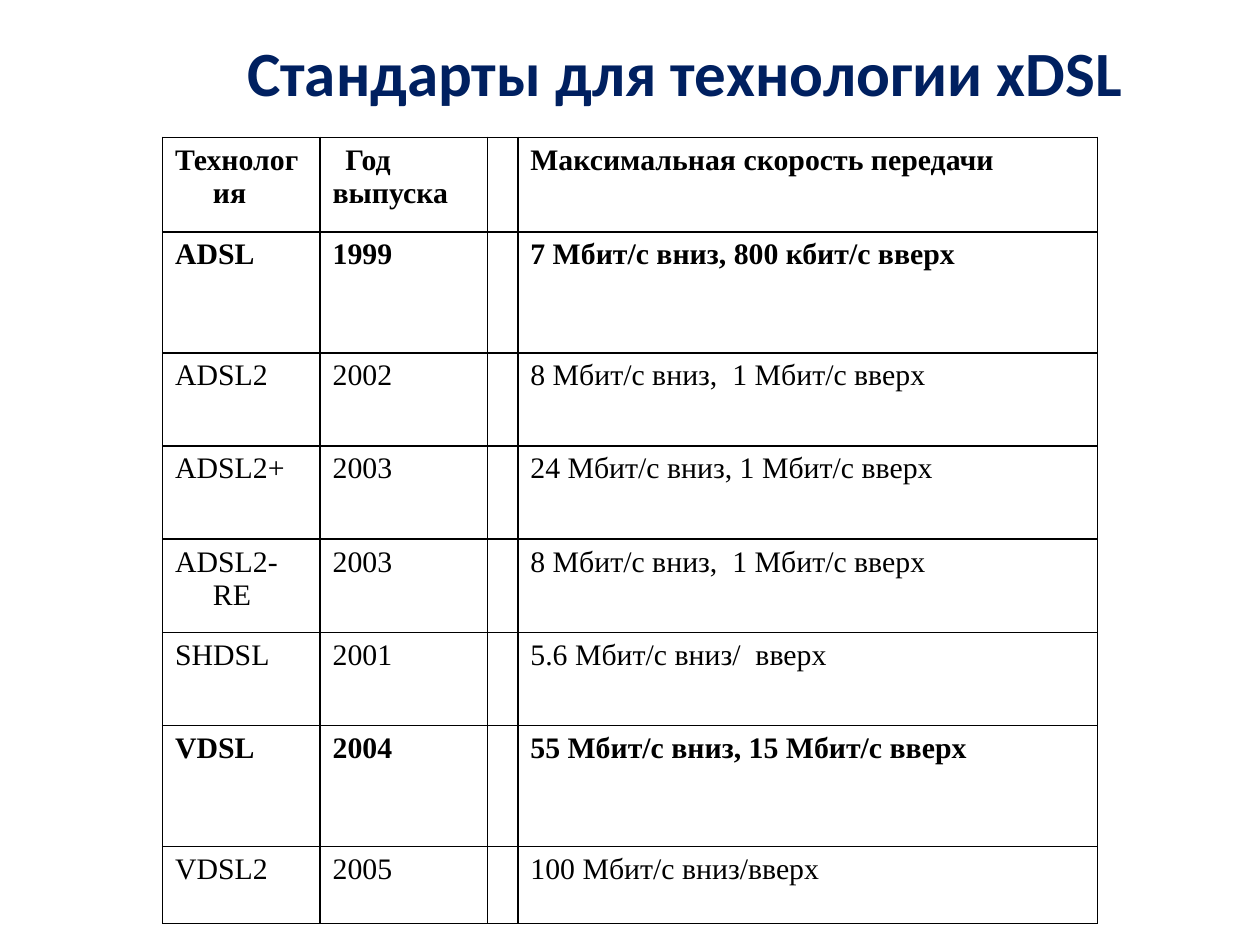
from lxml.etree import SubElement
from pptx import Presentation
from pptx.dml.color import RGBColor
from pptx.enum.text import MSO_ANCHOR, PP_ALIGN
from pptx.oxml.ns import qn
from pptx.util import Inches, Pt

TITLE = "Стандарты для технологии xDSL"
HEADER = ("Технология", "Год  выпуска", "", "Максимальная скорость передачи")
STANDARDS = [
    ("ADSL", "1999", "", "7 Мбит/с вниз, 800 кбит/с вверх"),
    ("ADSL2", "2002", "", "8 Мбит/с вниз,  1 Мбит/с вверх"),
    ("ADSL2+", "2003", "", "24 Мбит/с вниз, 1 Мбит/с вверх"),
    ("ADSL2-RE", "2003", "", "8 Мбит/с вниз,  1 Мбит/с вверх"),
    ("SHDSL", "2001", "", "5.6 Мбит/с вниз/  вверх"),
    ("VDSL", "2004", "", "55 Мбит/с вниз, 15 Мбит/с вверх"),
    ("VDSL2", "2005", "", "100 Мбит/с вниз/вверх"),
]
BOLD_ROWS = {HEADER[0], "ADSL", "VDSL"}
COLUMN_WIDTHS = (1.25, 1.33, 0.23, 4.6)
ROW_HEIGHTS = (0.75, 0.96, 0.74, 0.74, 0.74, 0.74, 0.96, 0.61)


def color(hex_value):
    """Turn a hex string into a colour."""
    return RGBColor.from_string(hex_value)


def style_font(font, hex_value, **values):
    """Set the colour and the given attributes of a font."""
    font.color.rgb = color(hex_value)
    for name, value in values.items():
        setattr(font, name, value)


def place(shape, box):
    """Move a shape to a box of left, top, width and height in inches."""
    for name, value in zip(("left", "top", "width", "height"), box):
        setattr(shape, name, Inches(value))


def add_title(slide, box):
    """Fill and format the title placeholder."""
    title = slide.shapes.title
    place(title, box)
    frame = title.text_frame
    frame.text = TITLE
    frame.word_wrap = True
    frame.vertical_anchor = MSO_ANCHOR.MIDDLE
    paragraph = frame.paragraphs[0]
    paragraph.alignment = PP_ALIGN.CENTER
    style_font(paragraph.runs[0].font, "002060", name="Calibri", size=Pt(36), bold=True)


def add_borders(cell, hex_value, width):
    """Draw a solid line on all four sides of a cell."""
    properties = cell._tc.get_or_add_tcPr()
    for side in ("lnL", "lnR", "lnT", "lnB"):
        line = SubElement(properties, qn(f"a:{side}"), w=str(Pt(width)))
        fill = SubElement(line, qn("a:solidFill"))
        SubElement(fill, qn("a:srgbClr"), val=hex_value)


def fill_cell(cell, text, bold, margin, indent):
    """Write one bordered cell with its paragraph indent."""
    add_borders(cell, "000000", 1)
    cell.fill.background()
    if not text:
        return
    cell.text = text
    paragraph = cell.text_frame.paragraphs[0]
    properties = paragraph._p.get_or_add_pPr()
    properties.set("marL", str(Inches(margin)))
    properties.set("indent", str(Inches(indent)))
    style_font(paragraph.runs[0].font, "000000",
               name="Times New Roman", size=Pt(17), bold=bold)


def add_standards_table(slide, box):
    """Build the table of xDSL standards."""
    rows = [HEADER, *STANDARDS]
    table = slide.shapes.add_table(len(rows), len(HEADER), *map(Inches, box)).table
    table.first_row = table.horz_banding = False
    for column, width in zip(table.columns, COLUMN_WIDTHS):
        column.width = Inches(width)
    for row, height, texts in zip(table.rows, ROW_HEIGHTS, rows):
        row.height = Inches(height)
        for cell, text in zip(row.cells, texts):
            margin, indent = (0, 0.1) if text == HEADER[1] else (0.3, -0.3)
            fill_cell(cell, text, texts[0] in BOLD_ROWS, margin, indent)


def main():
    """Create the slide and save it."""
    presentation = Presentation()
    presentation.slide_width, presentation.slide_height = Inches(10), Inches(7.5)
    slide = presentation.slides.add_slide(presentation.slide_layouts[5])
    add_title(slide, (0.87, 0.13, 9.13, 0.87))
    add_standards_table(slide, (1.29, 1.09, sum(COLUMN_WIDTHS), sum(ROW_HEIGHTS)))
    presentation.save("out.pptx")


if __name__ == "__main__":
    main()
